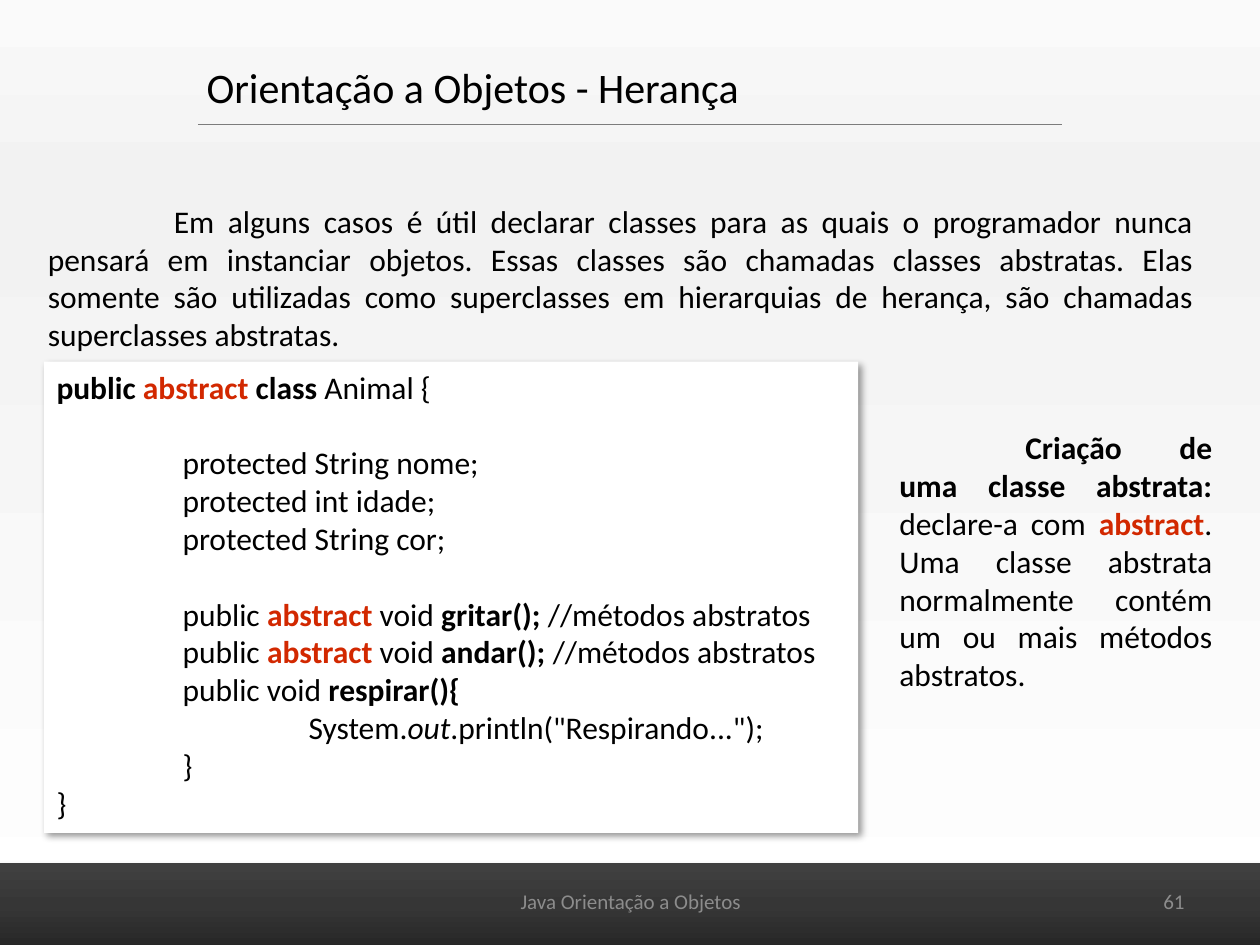
from dataclasses import dataclass

from lxml import etree
from pptx import Presentation
from pptx.dml.color import RGBColor
from pptx.enum.shapes import MSO_CONNECTOR, MSO_SHAPE
from pptx.enum.text import MSO_ANCHOR, MSO_AUTO_SIZE, PP_ALIGN
from pptx.oxml.ns import qn
from pptx.util import Cm, Pt

RECT, LINE = MSO_SHAPE.RECTANGLE, MSO_CONNECTOR.STRAIGHT
TOP, MID = MSO_ANCHOR.TOP, MSO_ANCHOR.MIDDLE
LEFT, MIDST, RIGHT, JUST = (PP_ALIGN.LEFT, PP_ALIGN.CENTER,
                            PP_ALIGN.RIGHT, PP_ALIGN.JUSTIFY)
FIXED = MSO_AUTO_SIZE.NONE


@dataclass(frozen=True)
class Theme:
    font: str = "Calibri"
    ink: str = "000000"
    key: str = "D22800"
    dim: str = "8C8C8C"
    rule: str = "7C7C7C"
    paper: str = "FFFFFF"
    back: tuple = ((0, "FAFAFA"), (20, "F2F2F2"), (100, "FFFFFF"))
    bar: tuple = ((0, "262626"), (50, "363636"), (100, "404040"))
    head: int = 24
    text: int = 18
    foot: int = 12


@dataclass(frozen=True)
class Box:
    x: float
    y: float
    w: float
    h: float


@dataclass(frozen=True)
class Shade:
    alpha: int
    blur: float
    dist: float
    angle: int


@dataclass(frozen=True)
class Run:
    text: str
    bold: bool = False
    italic: bool = False
    key: bool = False


@dataclass(frozen=True)
class Para:
    runs: tuple
    level: int = 0      # tab steps for the whole paragraph
    first: int = 0      # tab steps for its first line
    gap: float = 0      # points before


@dataclass(frozen=True)
class Look:
    size: int = 18
    color: str = "000000"
    align: PP_ALIGN = LEFT
    anchor: MSO_ANCHOR = TOP
    wrap: bool = True


T = Theme()
TAB = Cm(2.54)
ROW = 21.6


def place(shape, box: Box) -> None:
    for name, val in zip(("left", "top", "width", "height"),
                         (box.x, box.y, box.w, box.h)):
        setattr(shape, name, Cm(val))


def write(shape, paras: list, look: Look) -> None:
    frame = shape.text_frame
    form = {"word_wrap": look.wrap, "auto_size": FIXED,
            "vertical_anchor": look.anchor}
    for name, val in form.items():
        setattr(frame, name, val)
    for n, para in enumerate(paras):
        line = frame.add_paragraph() if n else frame.paragraphs[0]
        props = line._p.get_or_add_pPr()
        props.set("marL", str(para.level * TAB))
        props.set("indent", str(para.first * TAB))
        etree.SubElement(props, qn("a:buNone"))
        line.alignment = look.align
        line.space_before = Pt(para.gap)
        for part in para.runs:
            run = line.add_run()
            run.text = part.text
            form = {"name": T.font, "size": Pt(look.size),
                    "bold": part.bold, "italic": part.italic}
            for name, val in form.items():
                setattr(run.font, name, val)
            run.font.color.rgb = RGBColor.from_string(
                T.key if part.key else look.color)


def blend(fill, root, stops: tuple, angle: int) -> None:
    fill.gradient()
    fill.gradient_angle = angle
    group = next(root.iter(qn("a:gsLst")))
    for old in list(group):
        group.remove(old)
    for pos, color in stops:
        stop = etree.SubElement(group, qn("a:gs"), pos=str(pos * 1000))
        etree.SubElement(stop, qn("a:srgbClr"), val=color)


def panel(slide, box: Box, shade: Shade):
    shape = slide.shapes.add_shape(RECT, 0, 0, 0, 0)
    place(shape, box)
    shape.line.fill.background()
    shape.shadow.inherit = False
    cast = etree.SubElement(
        next(shape.element.iter(qn("a:effectLst"))), qn("a:outerShdw"),
        blurRad=str(Pt(shade.blur)), dist=str(Pt(shade.dist)),
        dir=str(shade.angle * 60000), algn="ctr", rotWithShape="0")
    color = etree.SubElement(cast, qn("a:srgbClr"), val=T.ink)
    etree.SubElement(color, qn("a:alpha"), val=str(shade.alpha * 1000))
    return shape


def label(slide, box: Box, paras: list, look: Look) -> None:
    shape = slide.shapes.add_textbox(0, 0, 0, 0)
    place(shape, box)
    write(shape, paras, look)


def rule(slide, x: float, y: float, end: float) -> None:
    line = slide.shapes.add_connector(LINE, Cm(x), Cm(y), Cm(end), Cm(y))
    line.line.color.rgb = RGBColor.from_string(T.rule)
    line.line.width = Pt(0.75)
    etree.SubElement(line.element.spPr, qn("a:effectLst"))


def plain(text: str, level: int = 0, gap: float = 0) -> Para:
    return Para((Run(text),), level, gap=gap)


def method(name: str, gap: float = 0) -> Para:
    return Para((Run("public "), Run("abstract ", bold=True, key=True),
                 Run("void "), Run(name + "(); ", bold=True),
                 Run("//métodos abstratos")), 1, gap=gap)


INTRO = ("Em alguns casos é útil declarar classes para as quais o programador "
         "nunca pensará em instanciar objetos. Essas classes são chamadas "
         "classes abstratas. Elas somente são utilizadas como superclasses em "
         "hierarquias de herança, são chamadas superclasses abstratas.")
CODE = [
    Para((Run("public ", bold=True), Run("abstract ", bold=True, key=True),
          Run("class", bold=True), Run(" Animal {"))),
    plain("protected String nome;", 1, ROW),
    plain("protected int idade;", 1),
    plain("protected String cor;", 1),
    method("gritar", ROW),
    method("andar"),
    Para((Run("public void "), Run("respirar(){", bold=True)), 1),
    Para((Run("System."), Run("out", italic=True),
          Run('.println("Respirando...");')), 2),
    plain("}", 1),
    plain("}"),
]
NOTE = Para((Run("Criação de uma classe abstrata: ", bold=True),
             Run("declare-a com "), Run("abstract", bold=True, key=True),
             Run(". Uma classe abstrata normalmente contém um ou mais "
                 "métodos abstratos.")), first=1)


def main() -> None:
    deck = Presentation()
    deck.slide_width, deck.slide_height = Cm(25.4), Cm(19.05)
    slide = deck.slides.add_slide(deck.slide_layouts[1])
    blend(slide.background.fill, slide.element, T.back, 270)

    # Title and opening text
    title, body = slide.shapes.title, slide.placeholders[1]
    place(title, Box(3.91, 1.12, 11.35, 1.27))
    write(title, [plain("Orientação a Objetos - Herança")],
          Look(T.head, T.ink, wrap=False))
    rule(slide, 3.99, 2.51, 21.41)
    place(body, Box(0.71, 3.94, 23.6, 3.33))
    prose = Look(T.text, T.ink, JUST)
    write(body, [Para((Run(INTRO),), first=1)], prose)

    # Code panel and side note
    card = panel(slide, Box(0.89, 7.29, 16.41, 9.5), Shade(40, 4, 3, 45))
    card.fill.solid()
    card.fill.fore_color.rgb = RGBColor.from_string(T.paper)
    write(card, CODE, Look(T.text, T.ink))
    label(slide, Box(17.88, 8.51, 6.81, 5.64), [NOTE], prose)

    # Footer bar
    bar = panel(slide, Box(-0.3, 17.4, 26.01, 1.73), Shade(35, 3.1, 1.8, 90))
    blend(bar.fill, bar.element, T.bar, 90)
    label(slide, Box(8.69, 17.65, 8.05, 1.02),
          [plain("Java Orientação a Objetos")],
          Look(T.foot, T.dim, MIDST, MID))
    label(slide, Box(18.21, 17.65, 5.92, 1.02), [plain("61")],
          Look(T.foot, T.dim, RIGHT, MID))

    deck.save("out.pptx")


if __name__ == "__main__":
    main()
